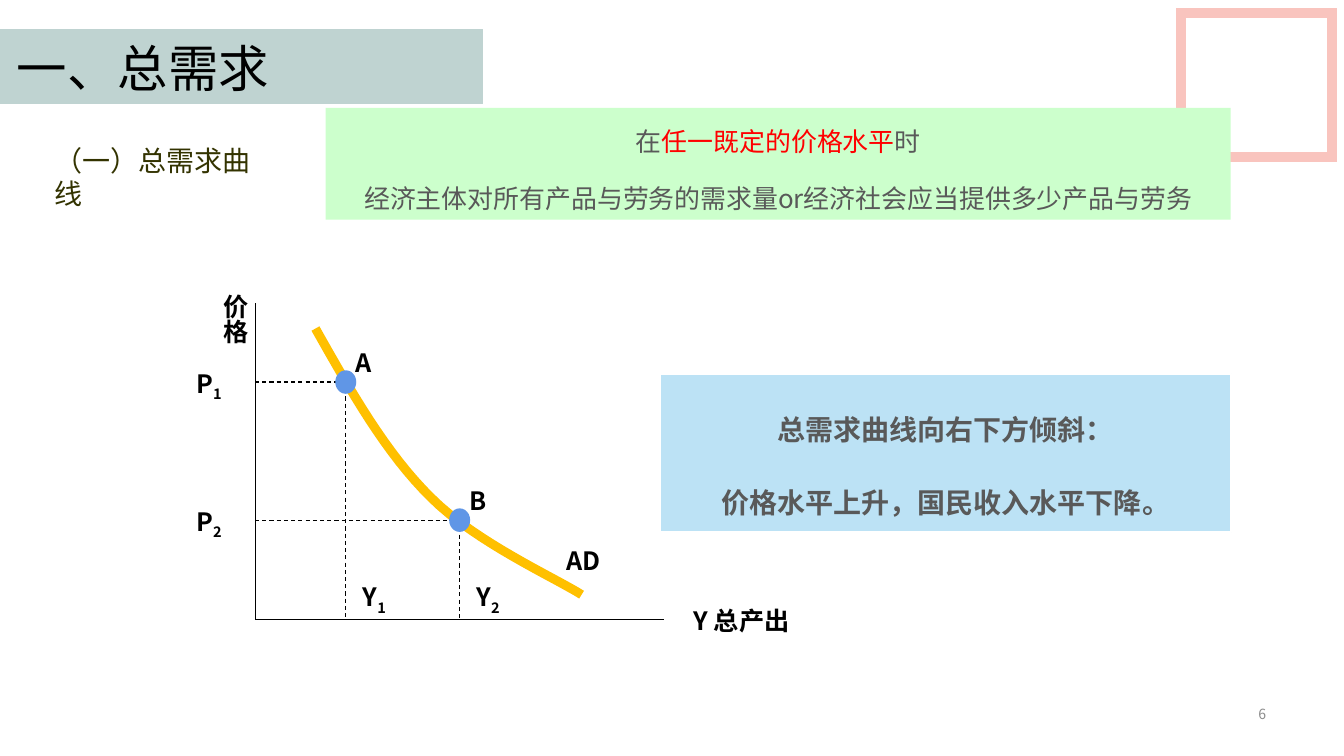
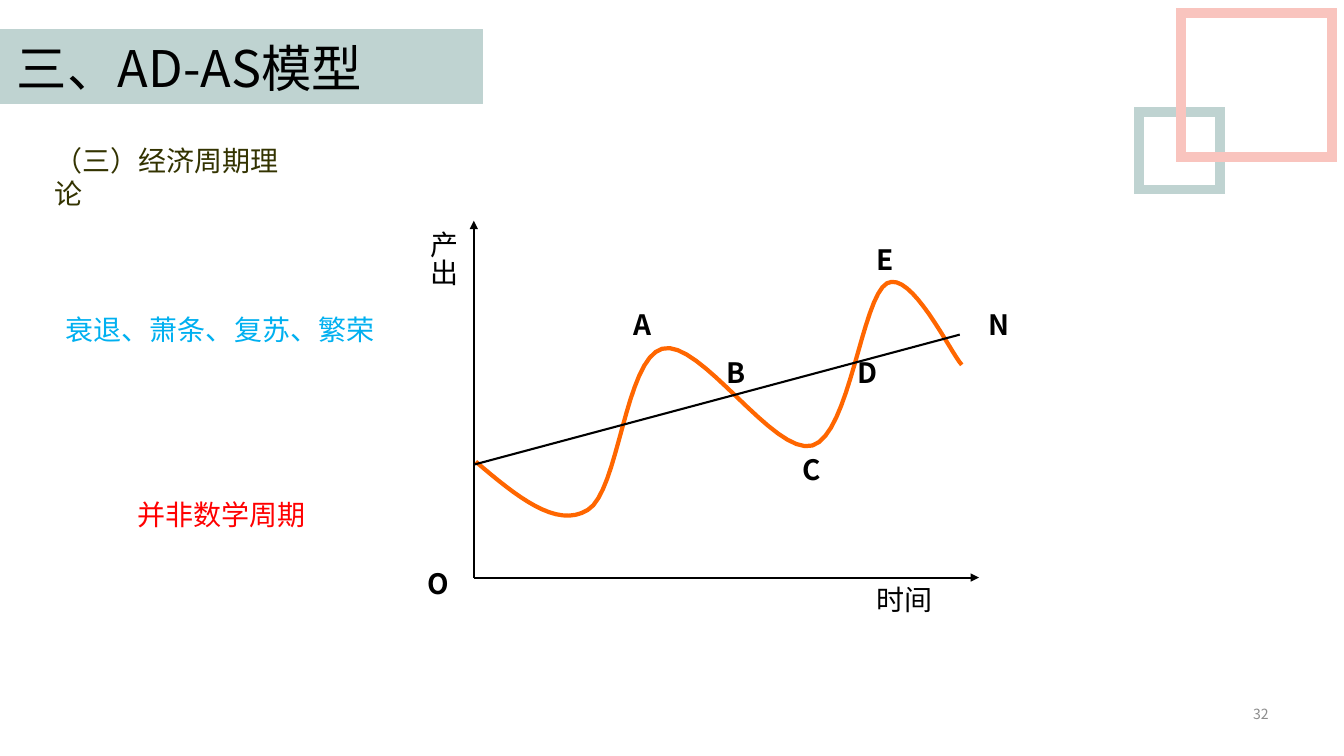
from lxml.etree import SubElement
from pptx import Presentation
from pptx.dml.color import RGBColor
from pptx.enum.dml import MSO_LINE
from pptx.enum.shapes import MSO_CONNECTOR, MSO_SHAPE
from pptx.enum.text import MSO_ANCHOR, PP_ALIGN
from pptx.oxml.ns import qn
from pptx.util import Inches, Pt

FONT = "Noto Sans CJK SC"
BLACK = RGBColor(0x00, 0x00, 0x00)
WHITE = RGBColor(0xFF, 0xFF, 0xFF)
GREY = RGBColor(0x59, 0x59, 0x59)
PALE_GREY = RGBColor(0x8C, 0x8C, 0x8C)
OLIVE = RGBColor(0x33, 0x33, 0x00)
RED = RGBColor(0xFF, 0x00, 0x00)
SKY = RGBColor(0x00, 0xB0, 0xF0)
SAGE = RGBColor(0xBF, 0xD3, 0xD1)
PINK = RGBColor(0xF9, 0xC4, 0xBE)
MINT = RGBColor(0xCC, 0xFF, 0xCC)
ICE = RGBColor(0xBC, 0xE2, 0xF5)
BLUE = RGBColor(0x60, 0x96, 0xE6)
GOLD = RGBColor(0xFF, 0xC0, 0x00)
ORANGE = RGBColor(0xFF, 0x66, 0x00)

deck = Presentation()
deck.slide_width, deck.slide_height = Inches(13.33), Inches(7.5)
COLUMN, ROW = deck.slide_width / 160, deck.slide_height / 90
CURVE_STEPS = 16


def grid(*numbers):
    """Turn alternating column and row counts into lengths."""
    return [round(number * (ROW if index % 2 else COLUMN))
            for index, number in enumerate(numbers)]


def write(box, paragraphs, size, color=BLACK, bold=False, align=PP_ALIGN.LEFT,
          spacing=None, before=0, after=0, vertical=False):
    """Fill a box; a paragraph is a list of texts or (text, color, baseline)."""
    frame = box.text_frame
    frame.word_wrap = True
    frame.vertical_anchor = MSO_ANCHOR.TOP
    if vertical:
        frame._txBody.bodyPr.set("vert", "eaVert")
    for index, spans in enumerate(paragraphs):
        para = frame.add_paragraph() if index else frame.paragraphs[0]
        para.alignment = align
        para.space_before = Pt(before if index else 0)
        para.space_after = Pt(after)
        if spacing:
            para.line_spacing = spacing
        para.font.size, para.font.bold = Pt(size), bold
        para.font.color.rgb = color
        para.font.name = FONT
        defaults = para._p.pPr.find(qn("a:defRPr"))
        SubElement(defaults, qn("a:ea")).set("typeface", FONT)
        for item in spans:
            text, tint, baseline = (item, color, 0) if isinstance(item, str) else item
            span = para.add_run()
            span.text = text
            span.font.color.rgb = tint
            if baseline:
                span._r.get_or_add_rPr().set("baseline", str(baseline * 1000))


# What each page holds; lengths are in columns and rows
pages = [
    dict(
        title="一、总需求", number="6", number_left=116.52,
        subtitle="（一）总需求曲线", subtitle_width=28,
        squares=[((140.56, 1.56, 18, 17.16), PINK)],
        curve=[(37.56, 39.12), (41.76, 46.56), (45.96, 54), (51.36, 59.28),
               (56.64, 64.56), (66.24, 68.88), (69.24, 70.8)],
        curve_color=GOLD, curve_width=6.5,
        origin=(30.36, 73.68), axis_top=36.12, axis_right=79.1,
        axis_width=0.25, axis_arrow=False, trend=None,
        points=[("A", "1", 41.16, 45.48), ("B", "2", 54.72, 61.92)],
        label_size=18, label_outline=False,
        labels=[("AD", 66.25, 64.32, 13.44, 7), ("Y 总产出", 81.38, 71.52, 16.2, 7)],
        axis_names=[("价格", (22.2, 33.84, 8.16, 9.36), True, True)],
        panels=[
            ((38.76, 12.84, 107.76, 13.32), MINT, None,
             [["在", ("任一既定的价格水平", RED, 0), "时"],
              ["经济主体对所有产品与劳务的需求量or经济社会应当提供多少产品与劳务"]],
             dict(size=18.5, color=GREY, spacing=1.4, after=10, align=PP_ALIGN.CENTER)),
            ((78.62, 44.52, 67.94, 18.84), ICE, WHITE,
             [["总需求曲线向右下方倾斜："], ["价格水平上升，国民收入水平下降。"]],
             dict(size=20, color=GREY, bold=True, spacing=2, before=4,
                  align=PP_ALIGN.CENTER)),
        ],
    ),
    dict(
        title="三、AD-AS模型", number="32", number_left=116.8,
        subtitle="（三）经济周期理论", subtitle_width=31,
        squares=[((135.63, 13.32, 9.6, 9.24), SAGE), ((140.56, 1.56, 18, 17.16), PINK)],
        curve=[(56.64, 54.96), (61.44, 59.04), (66.24, 63), (69.96, 60.72),
               (73.68, 58.56), (74.4, 42.72), (78.84, 41.52),
               (83.28, 40.2), (92.16, 54.36), (96.72, 53.04),
               (101.16, 51.72), (102.6, 35.4), (105.6, 33.72),
               (108.48, 32.16), (113.04, 41.76), (114.5, 43.44)],
        curve_color=ORANGE, curve_width=3,
        origin=(56.4, 68.76), axis_top=26.28, axis_right=116.55,
        axis_width=1.5, axis_arrow=True, trend=(56.4, 55.32, 114.26, 39.84),
        points=[],
        label_size=20, label_outline=True,
        labels=[("A", 74.25, 36, 5.76, 4.68), ("B", 85.3, 41.76, 5.76, 5.76),
                ("C", 94.3, 53.28, 5.76, 5.76), ("D", 100.9, 41.76, 5.76, 7.8),
                ("E", 103.2, 28.32, 5.76, 5.76), ("N", 116.5, 36, 5.76, 5.76),
                ("O", 49.75, 66.84, 5.76, 5.76)],
        axis_names=[("产出", (47.53, 26.28, 7.92, 13.56), True, False)],
        panels=[
            ((103.2, 68.76, 16.8, 5.76), None, None, [["时间"]], dict(size=20)),
            ((6.65, 34.62, 41, 8.5), None, None, [["衰退、萧条、复苏、繁荣"]],
             dict(size=20, color=SKY, spacing=1.5)),
            ((15.16, 56.62, 28.2, 8.5), None, None, [["并非数学周期"]],
             dict(size=20, color=RED, spacing=1.5)),
        ],
    ),
]

for content in pages:
    page = deck.slides.add_slide(deck.slide_layouts[6])
    shapes = page.shapes

    # Title band, subtitle, page number and corner squares
    band = shapes.add_shape(MSO_SHAPE.RECTANGLE, *grid(0, 3.48, 57.45, 8.88))
    band.shadow.inherit = False
    band.fill.solid()
    band.fill.fore_color.rgb = band.line.color.rgb = SAGE
    band.line.width = Pt(1)
    write(shapes.add_textbox(*grid(0.84, 3.84, 55.8, 8.52)), [[content["title"]]], 36)
    write(shapes.add_textbox(*grid(5.3, 16.44, content["subtitle_width"], 5.28)),
          [[content["subtitle"]]], 20, OLIVE)
    number = shapes.add_textbox(*grid(content["number_left"], 82.92, 35.4, 4.2))
    write(number, [[content["number"]]], 10, PALE_GREY, align=PP_ALIGN.RIGHT)
    number.text_frame.vertical_anchor = MSO_ANCHOR.MIDDLE
    for place, color in content["squares"]:
        square = shapes.add_shape(MSO_SHAPE.RECTANGLE, *grid(*place))
        square.shadow.inherit = False
        square.fill.background()
        square.line.color.rgb = color
        square.line.width = Pt(7)
        SubElement(square.line._get_or_add_ln(), qn("a:miter")).set("lim", "800000")

    # Labels
    names = [([[text]], place, False, True) for text, *place in content["labels"]]
    names += [([[text]], place, vertical, bold)
              for text, place, vertical, bold in content["axis_names"]]
    for name, index, x, y in content["points"]:
        subscript = (index, BLACK, -25)
        names += [([spans], (left, top, 8.16, 7), False, True) for spans, left, top in (
            ([name], x, y - 4.68), (["P", subscript], 22.2, y - 2.28),
            (["Y", subscript], x + 0.84, 68.64))]
    for paragraphs, place, vertical, bold in names:
        if content["label_outline"]:
            label = shapes.add_shape(MSO_SHAPE.RECTANGLE, *grid(*place))
            label.shadow.inherit = False
            label.fill.background()
            label.line.color.rgb = WHITE
            label.line.width = Pt(0.75)
        else:
            label = shapes.add_textbox(*grid(*place))
        write(label, paragraphs, content["label_size"], bold=bold, vertical=vertical)

    # Bezier curve, sampled in even steps
    knots = content["curve"]
    samples = [knots[0]]
    for first in range(0, len(knots) - 1, 3):
        start, pull, push, end = knots[first:first + 4]
        for step in range(1, CURVE_STEPS + 1):
            t = step / CURVE_STEPS
            samples.append(tuple(
                (1 - t) ** 3 * a + 3 * t * (1 - t) ** 2 * b + 3 * t * t * (1 - t) * c + t ** 3 * d
                for a, b, c, d in zip(start, pull, push, end)))
    builder = shapes.build_freeform(*grid(*samples[0]))
    builder.add_line_segments([grid(*sample) for sample in samples[1:]], close=False)
    curve = builder.convert_to_shape()
    curve.shadow.inherit = False
    curve.fill.background()
    curve.line.color.rgb = content["curve_color"]
    curve.line.width = Pt(content["curve_width"])

    # Axes, trend and dashed guides: ends, width, dashed, arrow
    left, base = content["origin"]
    axis_style = content["axis_width"], False, content["axis_arrow"]
    lines = [((left, base, left, content["axis_top"]), *axis_style),
             ((left, base, content["axis_right"], base), *axis_style)]
    if content["trend"]:
        lines.append((content["trend"], 1.5, False, False))
    for _, _, x, y in content["points"]:
        lines.append(((left, y, x, y), 0.75, True, False))
        lines.append(((x, y, x, base), 0.75, True, False))
    for ends, width, dashed, arrow in lines:
        line = shapes.add_connector(MSO_CONNECTOR.STRAIGHT, *grid(*ends))
        line.line.color.rgb = BLACK
        line.line.width = Pt(width)
        if dashed:
            line.line.dash_style = MSO_LINE.DASH
        if arrow:
            SubElement(line.line._get_or_add_ln(), qn("a:tailEnd")).set("type", "triangle")
        SubElement(line._element.spPr, qn("a:effectLst"))

    # Marked points
    for _, _, x, y in content["points"]:
        dot = shapes.add_shape(MSO_SHAPE.OVAL, *grid(x - 1.25, y - 1.4, 2.5, 2.8))
        dot.shadow.inherit = False
        dot.fill.solid()
        dot.fill.fore_color.rgb = BLUE
        dot.line.fill.background()

    # Statements
    for place, color, outline, paragraphs, style in content["panels"]:
        if color:
            panel = shapes.add_shape(MSO_SHAPE.RECTANGLE, *grid(*place))
            panel.shadow.inherit = False
            panel.fill.solid()
            panel.fill.fore_color.rgb = color
            panel.line.fill.background()
        else:
            panel = shapes.add_textbox(*grid(*place))
        if outline:
            panel.line.color.rgb = outline
            panel.line.width = Pt(1.5)
        write(panel, paragraphs, **style)

deck.save("out.pptx")
